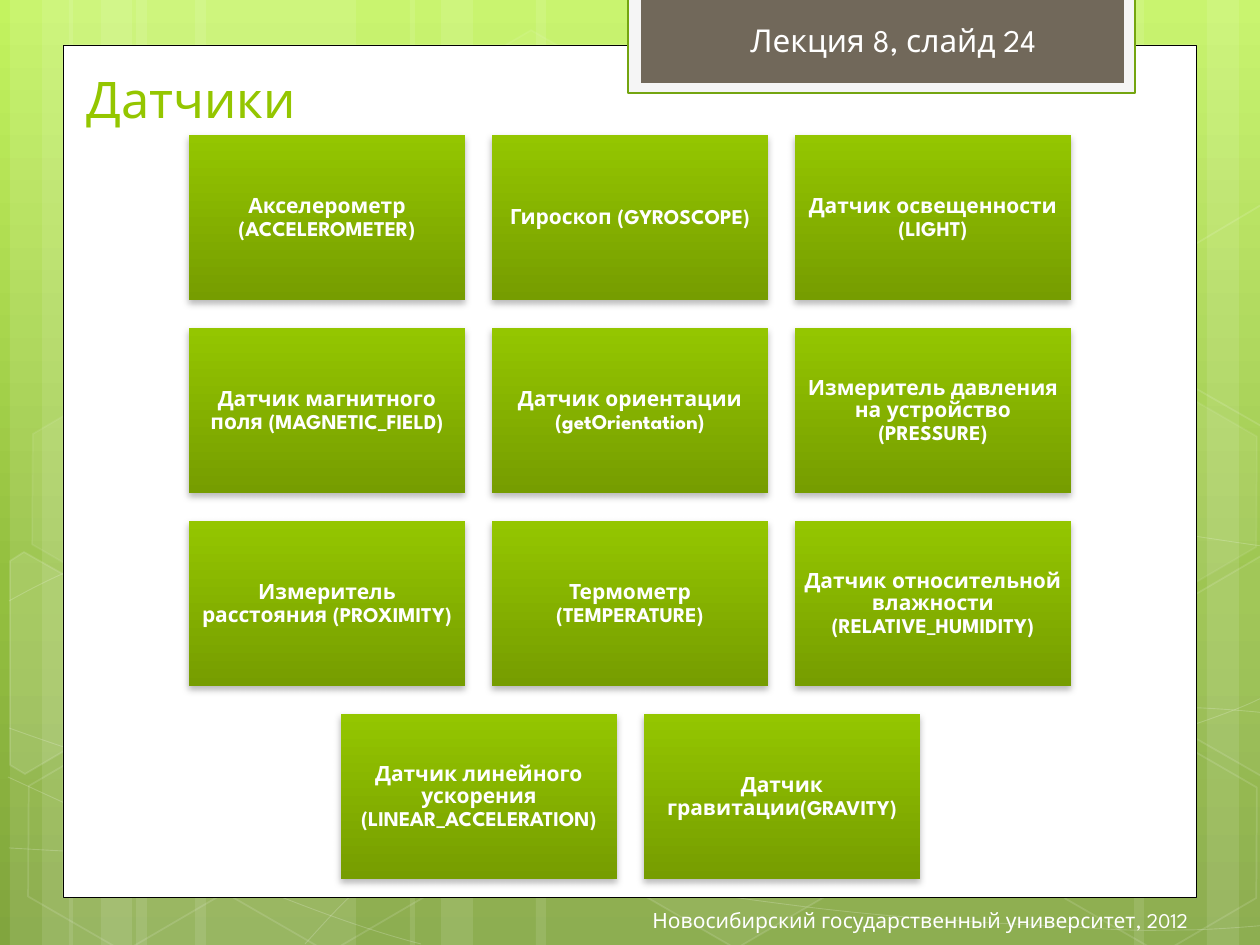
from copy import deepcopy

from lxml.etree import SubElement
from pptx import Presentation
from pptx.dml.color import RGBColor
from pptx.enum.shapes import MSO_SHAPE as SHAPE
from pptx.enum.text import MSO_ANCHOR as ANCHOR, MSO_AUTO_SIZE as AUTO, PP_ALIGN as ALIGN
from pptx.oxml.ns import qn
from pptx.util import Pt

PX = 914400 / 126
FONT = "League Spartan"
C = {"white": "FFFFFF", "black": "000000", "sky": "C3F35F", "leaf": "93BF3F",
     "moss": "81A53E", "green": "94C600", "dark": "769D00", "edge": "74A510",
     "pale": "F5F5F5", "brown": "71685A"}


def style(sp, fill=None, fill_alpha=100, line=None, width=1, line_alpha=100):
    """Set fill and outline; alphas are percentages of opacity."""
    sp.shadow.inherit = False
    for target, color, alpha in ((sp.fill, fill, fill_alpha), (sp.line.fill, line, line_alpha)):
        if color is None:
            target.background()
            continue
        target.solid()
        target.fore_color.rgb = RGBColor.from_string(C[color])
        if alpha < 100:
            clr = list(sp.element.spPr.iter(qn("a:srgbClr")))[-1]
            SubElement(clr, qn("a:alpha"), val=str(alpha * 1000))
    if line:
        sp.line.width = Pt(width)


def write(sp, text, size, color="white", align=ALIGN.LEFT, anchor=ANCHOR.TOP,
          bold=False, wrap=True, auto=AUTO.NONE):
    tf = sp.text_frame
    frame = {"word_wrap": wrap, "auto_size": auto, "vertical_anchor": anchor}
    for name, value in frame.items():
        setattr(tf, name, value)
    p = tf.paragraphs[0]
    p.alignment = align
    r = p.add_run()
    r.text = text
    for name, value in {"name": FONT, "size": Pt(size), "bold": bold}.items():
        setattr(r.font, name, value)
    r.font.color.rgb = RGBColor.from_string(C[color])


prs = Presentation()
prs.slide_width, prs.slide_height = round(1260 * PX), round(945 * PX)
s = prs.slides.add_slide(prs.slide_layouts[5])
shapes = s.shapes

# Background gradient
bg = s.background.fill
bg.gradient()
bg.gradient_angle = 270
gs_list = s.element.find(".//" + qn("a:gsLst"))
gs_list.append(deepcopy(gs_list[0]))
for stop, (pos, color) in zip(bg.gradient_stops, ((0, "sky"), (0.62, "leaf"), (1, "moss"))):
    stop.position = pos
    stop.color.rgb = RGBColor.from_string(C[color])

# Translucent vertical strips: left, width
strips = [(136, 220), (10, 63), (42, 105), (195, 220), (69, 63), (101, 105),
          (924, 220), (1207, 63), (1134, 105), (536, 388), (410, 63), (441, 105)]
for x, w in strips:
    sp = shapes.add_shape(SHAPE.RECTANGLE, round(x * PX), 0, round(w * PX), prs.slide_height)
    style(sp, "white", 10)

# Thin waves: a start point, then three Bezier points per segment
waves = [
    [(9, 848), (77, 852), (145, 856), (239, 854), (334, 853), (451, 851), (577, 838),
     (703, 825), (882, 801), (998, 777), (1113, 753), (1231, 716), (1269, 694)],
    [(9, 601), (45, 581), (82, 562), (152, 543), (224, 524), (326, 496), (437, 488),
     (549, 479), (685, 478), (824, 488), (963, 498), (1193, 537), (1269, 547)],
    [(8, 777), (160, 847), (311, 916), (421, 944)],
    [(9, 728), (48, 742), (88, 756), (161, 776), (234, 795), (344, 827), (450, 848),
     (554, 869), (687, 892), (791, 905), (896, 919), (1008, 924), (1075, 927),
     (1140, 932), (1158, 930), (1191, 930), (1223, 929), (1246, 927), (1269, 925)],
    [(305, 944), (328, 919), (350, 893), (381, 871), (411, 848), (454, 823), (489, 805),
     (524, 788), (546, 780), (592, 767), (638, 755), (722, 737), (766, 728),
     (811, 719), (818, 719), (857, 717), (896, 713), (958, 709), (1000, 708),
     (1045, 707), (1116, 708), (1116, 708), (1144, 708), (1173, 708), (1201, 708),
     (1223, 709), (1245, 711), (1256, 712), (1264, 713), (1260, 712), (1268, 713)],
]
for wave in waves:
    fb = shapes.build_freeform(*wave[0], scale=PX)
    fb.add_line_segments(wave[1:], close=False)
    sp = fb.convert_to_shape()
    outline = sp.element.find(".//" + qn("a:path"))
    lines = outline.findall(qn("a:lnTo"))
    for i in range(0, len(lines), 3):
        curve = SubElement(outline, qn("a:cubicBezTo"))
        for ln in lines[i:i + 3]:
            curve.append(ln[0])
            outline.remove(ln)
    style(sp, line="white", width=0.5, line_alpha=20)

# Hexagons: left, top, fill alpha, line alpha
hexagons = [(421, 45, 4, 8), (626, 742, 6, 12), (14, 745, 0, 12), (18, 393, 7, 8),
            (219, 746, 0, 12), (949, 571, 10, 12), (1051, 747, 0, 12), (1051, 396, 7, 8)]
for x, y, fill_alpha, line_alpha in hexagons:
    sp = shapes.add_shape(SHAPE.HEXAGON, *(round(v * PX) for v in (x, y, 220, 192)))
    sp.adjustments[0], sp.adjustments[1] = 0.285, 1.155
    sp.rotation = 30
    style(sp, "white" if fill_alpha else None, fill_alpha, "white", 1, line_alpha)

# Hexagons cut by the slide edges
cut_hexagons = [
    (10, [(10, 561), (24, 552), (121, 607), (120, 718), (25, 774), (10, 765)]),
    (4, [(1167, 611), (1261, 556), (1271, 562), (1271, 772), (1263, 777), (1167, 722)]),
    (0, [(1167, 261), (1261, 205), (1273, 212), (1271, 422), (1263, 427), (1167, 372)]),
]
for fill_alpha, pts in cut_hexagons:
    fb = shapes.build_freeform(*pts[0], scale=PX)
    fb.add_line_segments(pts[1:])
    style(fb.convert_to_shape(), "white" if fill_alpha else None, fill_alpha, "white", 1, 12)

# Content panel and lecture tab
panels = [((63, 45, 1134, 853), "white", "black", 0.5),
          ((628, -2, 507, 95), "pale", "edge", 1.25),
          ((641, -2, 483, 85), "brown", None, 0)]
for box, fill, line, width in panels:
    sp = shapes.add_shape(SHAPE.RECTANGLE, *(round(v * PX) for v in box))
    style(sp, fill, line=line, width=width)

# Title and labels
title = shapes.title
title.element.getparent().append(title.element)
title.left, title.top, title.width, title.height = (round(v * PX) for v in (74, 55, 1101, 80))
write(title, "Датчики", 28.8, "green", anchor=ANCHOR.BOTTOM)

lecture = shapes.add_textbox(*(round(v * PX) for v in (738, 15, 327, 51)))
write(lecture, "Лекция 8, слайд 24", 18, wrap=False, auto=AUTO.SHAPE_TO_FIT_TEXT)
footer = shapes.add_textbox(*(round(v * PX) for v in (392, 895, 809, 50)))
write(footer, "Новосибирский государственный университет, 2012", 12,
      align=ALIGN.RIGHT, anchor=ANCHOR.MIDDLE)

# Sensor tiles, each row centred on the slide
sensors = [
    ["Акселерометр (ACCELEROMETER)", "Гироскоп (GYROSCOPE)", "Датчик освещенности (LIGHT)"],
    ["Датчик магнитного поля (MAGNETIC_FIELD)", "Датчик ориентации (getOrientation)",
     "Измеритель давления на устройство (PRESSURE)"],
    ["Измеритель расстояния (PROXIMITY)", "Термометр (TEMPERATURE)",
     "Датчик относительной влажности (RELATIVE_HUMIDITY)"],
    ["Датчик линейного ускорения (LINEAR_ACCELERATION)", "Датчик гравитации(GRAVITY)"],
]
TILE_W, TILE_H, GAP, TOP = 276, 165, 27, 135
MARGINS = {"margin_left": 6, "margin_top": 7, "margin_right": 6, "margin_bottom": 6}
for row, names in enumerate(sensors):
    left = (1261 - len(names) * (TILE_W + GAP) + GAP) // 2
    for col, name in enumerate(names):
        box = (left + col * (TILE_W + GAP), TOP + row * 193, TILE_W, TILE_H)
        sp = shapes.add_shape(SHAPE.RECTANGLE, *(round(v * PX) for v in box))
        style(sp)
        sp.fill.gradient()
        sp.fill.gradient_angle = 270
        for stop, color in zip(sp.fill.gradient_stops, ("green", "dark")):
            stop.color.rgb = RGBColor.from_string(C[color])
        shadow = SubElement(sp.element.spPr.find(qn("a:effectLst")), qn("a:outerShdw"),
                            blurRad=str(Pt(4)), dist=str(Pt(2)), dir="5400000", rotWithShape="0")
        clr = SubElement(shadow, qn("a:srgbClr"), val=C["black"])
        SubElement(clr, qn("a:alpha"), val="28000")
        write(sp, name, 12, align=ALIGN.CENTER, anchor=ANCHOR.MIDDLE, bold=True)
        tf = sp.text_frame
        for side, margin in MARGINS.items():
            setattr(tf, side, round(margin * PX))
        tf.paragraphs[0].line_spacing = 0.9
        tf.paragraphs[0].space_after = Pt(4.2)

prs.save("out.pptx")
